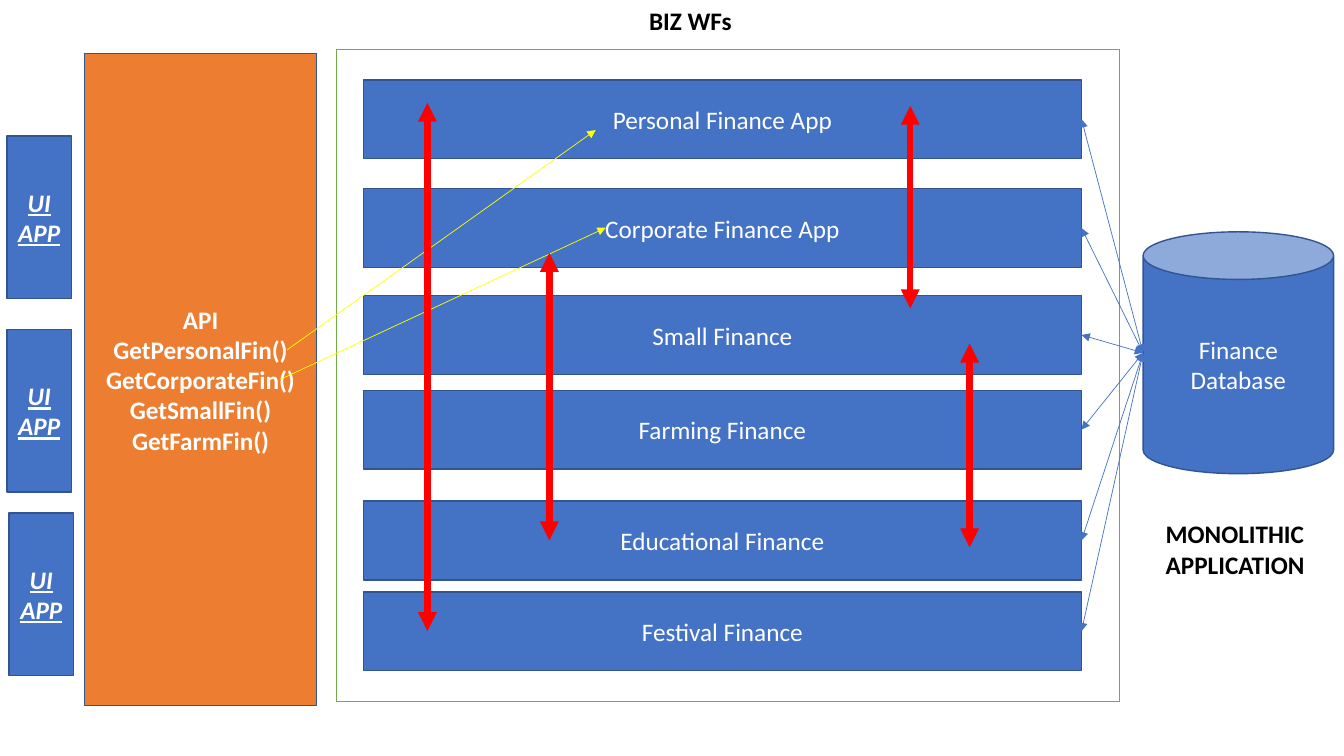
from lxml.etree import SubElement
from pptx import Presentation
from pptx.dml.color import RGBColor
from pptx.enum.shapes import MSO_CONNECTOR, MSO_SHAPE
from pptx.enum.text import MSO_ANCHOR, PP_ALIGN
from pptx.oxml.ns import qn
from pptx.util import Pt

COLORS = {
    "blue": "4472C4", "edge": "325491", "orange": "ED7D31", "green": "70AD47",
    "white": "FFFFFF", "black": "000000", "yellow": "FFFF00", "red": "FF0000",
}
color = {name: RGBColor.from_string(value) for name, value in COLORS.items()}

prs = Presentation()
prs.slide_width, prs.slide_height = Pt(960), Pt(540)
slide = prs.slides.add_slide(prs.slide_layouts[5])


def write(part, lines, ink="white", align=PP_ALIGN.CENTER, bold=False, accent=None):
    frame = part.text_frame
    frame.word_wrap = True
    frame.vertical_anchor = MSO_ANCHOR.MIDDLE
    for i, line in enumerate(lines):
        paragraph = frame.paragraphs[0] if i == 0 else frame.add_paragraph()
        paragraph.alignment = align
        run = paragraph.add_run()
        run.text = line
        run.font.name, run.font.size = "Calibri", Pt(18)
        run.font.bold, run.font.italic, run.font.underline = bold, accent, accent
        run.font.color.rgb = color[ink]


def arrow(start, end, ink, width, ends):
    link = slide.shapes.add_connector(
        MSO_CONNECTOR.STRAIGHT, *[Pt(value) for value in (*start, *end)])
    link.line.color.rgb = color[ink]
    link.line.width = Pt(width)
    for tag in ends:
        SubElement(link.line._get_or_add_ln(), qn(tag), type="triangle")
    SubElement(link._element.spPr, qn("a:effectLst"))
    return link


BOTH = ("a:headEnd", "a:tailEnd")
ROW_LEFT, ROW_WIDTH, ROW_HEIGHT = 259.5, 513, 56.2
DATABASE_SIDE = (816.5, 252)

apps = [
    ("Personal Finance App", 57), ("Corporate Finance App", 134.8),
    ("Small Finance", 211.2), ("Farming Finance", 278.8),
    ("Educational Finance", 358), ("Festival Finance", 422.8),
]
api_lines = ["API", "GetPersonalFin()", "GetCorporateFin()", "GetSmallFin()", "GetFarmFin()"]

blocks = [(MSO_SHAPE.RECTANGLE, (240.5, 35.3, 559.4, 465.8), "white", "green", [], {})]
blocks += [
    (MSO_SHAPE.RECTANGLE, (ROW_LEFT, top, ROW_WIDTH, ROW_HEIGHT), "blue", "edge", [name], {})
    for name, top in apps
]
blocks += [
    (MSO_SHAPE.RECTANGLE, (60.5, 38.2, 165.6, 465.8), "orange", "edge", api_lines, {"bold": True}),
    (MSO_SHAPE.CAN, (816.5, 165.6, 136.1, 172.8), "blue", "edge", ["Finance", "Database"], {}),
]
blocks += [
    (MSO_SHAPE.RECTANGLE, (left, top, 46.1, 116), "blue", "edge", ["UI", "APP"],
     {"bold": True, "accent": True})
    for left, top in [(5, 97.2), (5, 235.4), (6.5, 366.5)]
]

app_rows = []
for kind, place, fill, edge, lines, style in blocks:
    block = slide.shapes.add_shape(kind, *[Pt(value) for value in place])
    block.shadow.inherit = False
    block.fill.solid()
    block.fill.fore_color.rgb = color[fill]
    block.line.color.rgb = color[edge]
    block.line.width = Pt(1)
    write(block, lines, **style)
    if place[0] == ROW_LEFT:
        app_rows.append(block)

for start, end in [((205.2, 249.8), (425.5, 92.9)), ((200.9, 270.7), (432.7, 162.7))]:
    arrow(start, end, "yellow", 0.5, ["a:tailEnd"])

for app_row, (name, top) in zip(app_rows, apps):
    start = (ROW_LEFT + ROW_WIDTH, top + ROW_HEIGHT / 2)
    arrow(start, DATABASE_SIDE, "blue", 0.5, BOTH).begin_connect(app_row, 3)

for x, top, bottom in [(650.2, 75.6, 220.3), (692.6, 245.5, 391),
                       (392.4, 180.7, 386), (305.3, 73.4, 450.7)]:
    arrow((x, top), (x, bottom), "red", 4.5, BOTH)

title = slide.shapes.title
title.left, title.top, title.width, title.height = Pt(305.3), Pt(0), Pt(375.8), Pt(29)
write(title, ["BIZ WFs"], ink="black", bold=True)

caption = slide.shapes.add_textbox(Pt(825.5), Pt(366.5), Pt(134.5), Pt(51))
write(caption, ["MONOLITHIC", "APPLICATION"], ink="black", align=PP_ALIGN.LEFT, bold=True)

prs.save("out.pptx")
